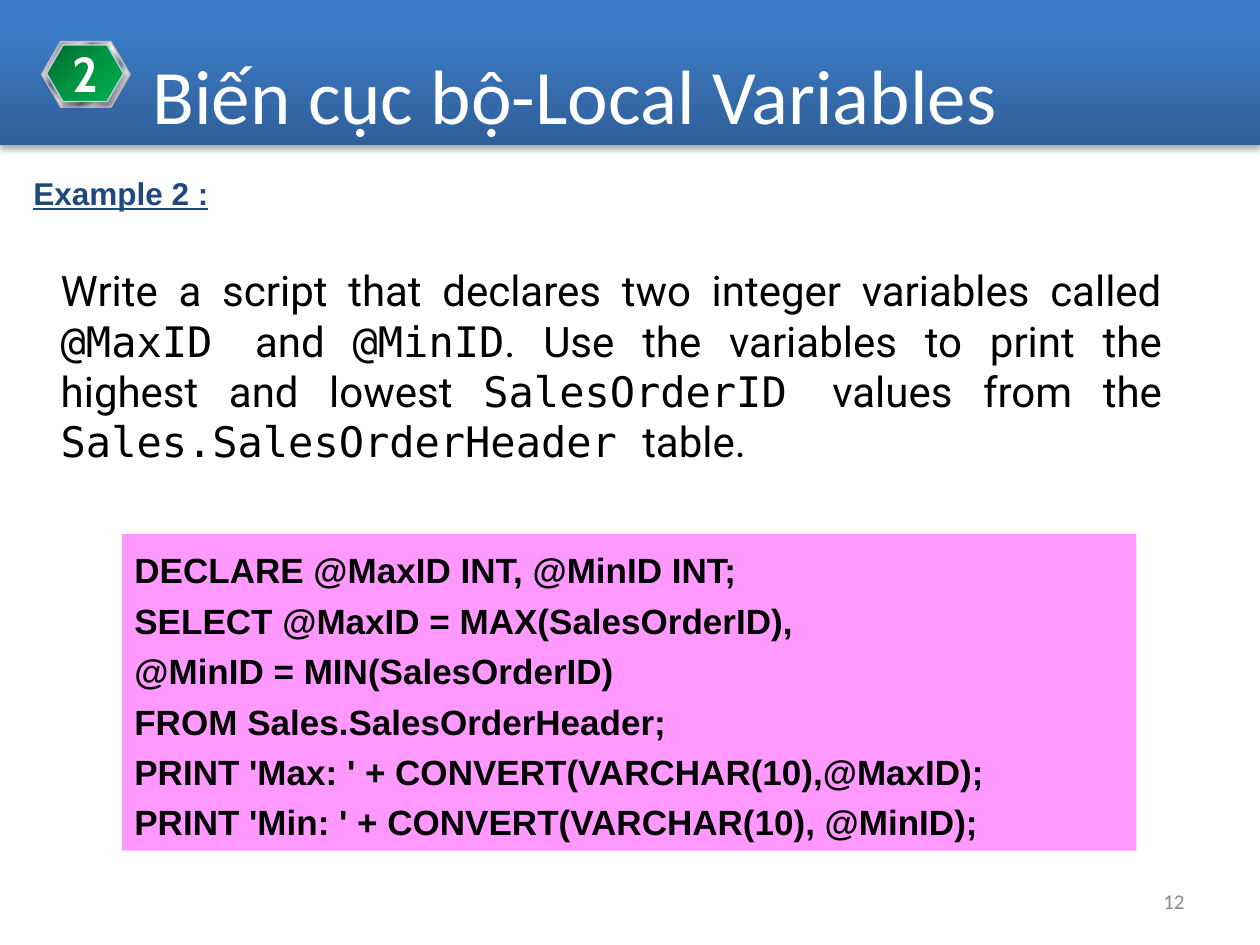
from lxml.etree import SubElement
from pptx import Presentation
from pptx.dml.color import RGBColor
from pptx.enum.shapes import MSO_SHAPE
from pptx.enum.text import MSO_ANCHOR, MSO_AUTO_SIZE, PP_ALIGN
from pptx.oxml.ns import qn
from pptx.util import Cm, Pt

WHITE = RGBColor(0xFF, 0xFF, 0xFF)
BLACK = RGBColor(0, 0, 0)
GRAY = RGBColor(0x80, 0x80, 0x80)
PALE = RGBColor(0x89, 0x89, 0x89)
SILVER = RGBColor(0xC0, 0xC0, 0xC0)
ICE = RGBColor(0xC2, 0xD1, 0xED)
NAVY = RGBColor(0x1F, 0x49, 0x7D)
PINK = RGBColor(0xFF, 0x99, 0xFF)

BLUES = [(0, "2F5F99"), (80, "3D7CC7"), (100, "3A7CCB")]
GREENS = [(0, "00682F"), (50, "009443"), (100, "00B050")]
METAL = [(0, "E6E6E6"), (8, "7D8496"), (26, "E6E6E6"), (34, "7D8496"),
         (46, "E6E6E6"), (50, "FFFFFF"), (54, "E6E6E6"), (66, "7D8496"),
         (74, "E6E6E6"), (92, "7D8496"), (100, "E6E6E6")]

TITLE = "Biến cục bộ-Local Variables"
BADGE = "2"
LABEL = "Example 2 :"
PAGE = "12"
SANS, MONO = "Roboto", "DejaVu Sans Mono"
TASK = [
    ("Write a script that declares two integer variables called ", SANS),
    ("@MaxID ", MONO), ("and ", SANS), ("@MinID", MONO),
    (". Use the variables to print the highest and lowest ", SANS),
    ("SalesOrderID ", MONO), ("values from the ", SANS),
    ("Sales.SalesOrderHeader ", MONO), ("table.", SANS),
]
CODE = [
    "DECLARE @MaxID INT, @MinID INT;",
    "SELECT @MaxID = MAX(SalesOrderID),",
    "@MinID = MIN(SalesOrderID)",
    "FROM Sales.SalesOrderHeader;",
    "PRINT 'Max: ' + CONVERT(VARCHAR(10),@MaxID);",
    "PRINT 'Min: ' + CONVERT(VARCHAR(10), @MinID);",
]


def place(shape, left, top, width, height):
    shape.left, shape.top = Cm(left), Cm(top)
    shape.width, shape.height = Cm(width), Cm(height)


def style(par, name, size, color, align=PP_ALIGN.LEFT, bold=False):
    par.alignment = align
    par.space_before = Pt(0)
    font = par.font
    font.name, font.size, font.bold = name, Pt(size), bold
    font.color.rgb = color


def frame(shape, anchor=MSO_ANCHOR.TOP, wrap=True):
    text = shape.text_frame
    text.auto_size = MSO_AUTO_SIZE.NONE
    text.vertical_anchor, text.word_wrap = anchor, wrap
    return text


def shade(shape, stops, angle):
    """Fill with a linear gradient of any number of stops."""
    shape.fill.solid()
    old = shape.element.spPr.find(qn("a:solidFill"))
    grad = old.makeelement(qn("a:gradFill"), {"rotWithShape": "1"})
    old.getparent().replace(old, grad)
    rows = SubElement(grad, qn("a:gsLst"))
    for pos, color in stops:
        stop = SubElement(rows, qn("a:gs"), pos=str(pos * 1000))
        SubElement(stop, qn("a:srgbClr"), val=color)
    SubElement(grad, qn("a:lin"), ang=str(angle * 60000), scaled="0")


def drop(shape, alpha, blur, dist):
    """Cast a black shadow straight down."""
    effect = shape.element.spPr.find(qn("a:effectLst"))
    outer = SubElement(effect, qn("a:outerShdw"), blurRad=str(Pt(blur)),
                       dist=str(Pt(dist)), dir="5400000", rotWithShape="0")
    color = SubElement(outer, qn("a:srgbClr"), val="000000")
    SubElement(color, qn("a:alpha"), val=str(alpha * 1000))


def draw(shapes, kind, box, fill, line=None, angle=0):
    shape = shapes.add_shape(kind, *map(Cm, box))
    shape.shadow.inherit = False
    if isinstance(fill, list):
        shade(shape, fill, angle)
    else:
        shape.fill.solid()
        shape.fill.fore_color.rgb = fill
    if line is None:
        shape.line.fill.background()
    else:
        shape.line.color.rgb = line
        shape.line.width = Pt(0.75)
    return shape


def main():
    deck = Presentation()
    deck.slide_width, deck.slide_height = Cm(25.4), Cm(19.05)
    slide = deck.slides.add_slide(deck.slide_layouts[1])
    shapes = slide.shapes
    title, body = slide.placeholders

    band = draw(shapes, MSO_SHAPE.RECTANGLE, (0, 0, 25.4, 2.92), BLUES, angle=270)
    drop(band, 35, 3.1, 1.8)
    title.element.addprevious(band.element)

    place(title, 2.82, 0.84, 22.58, 2.13)
    text = frame(title)
    text.text = TITLE
    style(text.paragraphs[0], "Calibri", 44, WHITE, PP_ALIGN.JUSTIFY)

    badge = shapes.add_group_shape().shapes
    for box, fill, line in [
        ((0.86, 0.86, 1.78, 1.3), GRAY, None),
        ((0.84, 0.84, 1.78, 1.32), METAL, SILVER),
        ((0.94, 0.91, 1.55, 1.14), GREENS, ICE),
    ]:
        hexagon = draw(badge, MSO_SHAPE.HEXAGON, box, fill, line, 45)
        hexagon.adjustments[0] = 0.29
    drop(hexagon, 38, 3.1, 1.6)
    text = frame(hexagon, MSO_ANCHOR.MIDDLE, False)
    text.text = BADGE
    style(text.paragraphs[0], "Cabin", 28, WHITE, PP_ALIGN.CENTER, True)

    label = shapes.add_textbox(Cm(0.41), Cm(3.38), Cm(4.06), Cm(1.02))
    text = frame(label, MSO_ANCHOR.BOTTOM, False)
    text.text = LABEL
    style(text.paragraphs[0], "Arial", 18, NAVY, PP_ALIGN.CENTER, True)
    text.paragraphs[0].font.underline = True

    panel = draw(shapes, MSO_SHAPE.RECTANGLE, (2.46, 10.77, 20.45, 6.38), PINK)
    text = frame(panel)
    text.text = "\n".join(CODE)
    for par in text.paragraphs:
        style(par, "Arial", 20, BLACK, bold=True)
        par.line_spacing = 1.2

    place(body, 0.97, 5.21, 22.71, 4.37)
    par = frame(body).paragraphs[0]
    style(par, SANS, 24, BLACK, PP_ALIGN.JUSTIFY)
    props = par._p.get_or_add_pPr()
    props.set("marL", "0")
    props.set("indent", "0")
    props.insert_element_before(props.makeelement(qn("a:buNone")), "a:defRPr")
    for words, name in TASK:
        run = par.add_run()
        run.text, run.font.name = words, name

    page = shapes.add_textbox(Cm(18.21), Cm(17.65), Cm(5.92), Cm(1.02))
    text = frame(page, MSO_ANCHOR.MIDDLE)
    text.text = PAGE
    style(text.paragraphs[0], "Calibri", 12, PALE, PP_ALIGN.RIGHT)

    deck.save("out.pptx")


if __name__ == "__main__":
    main()
